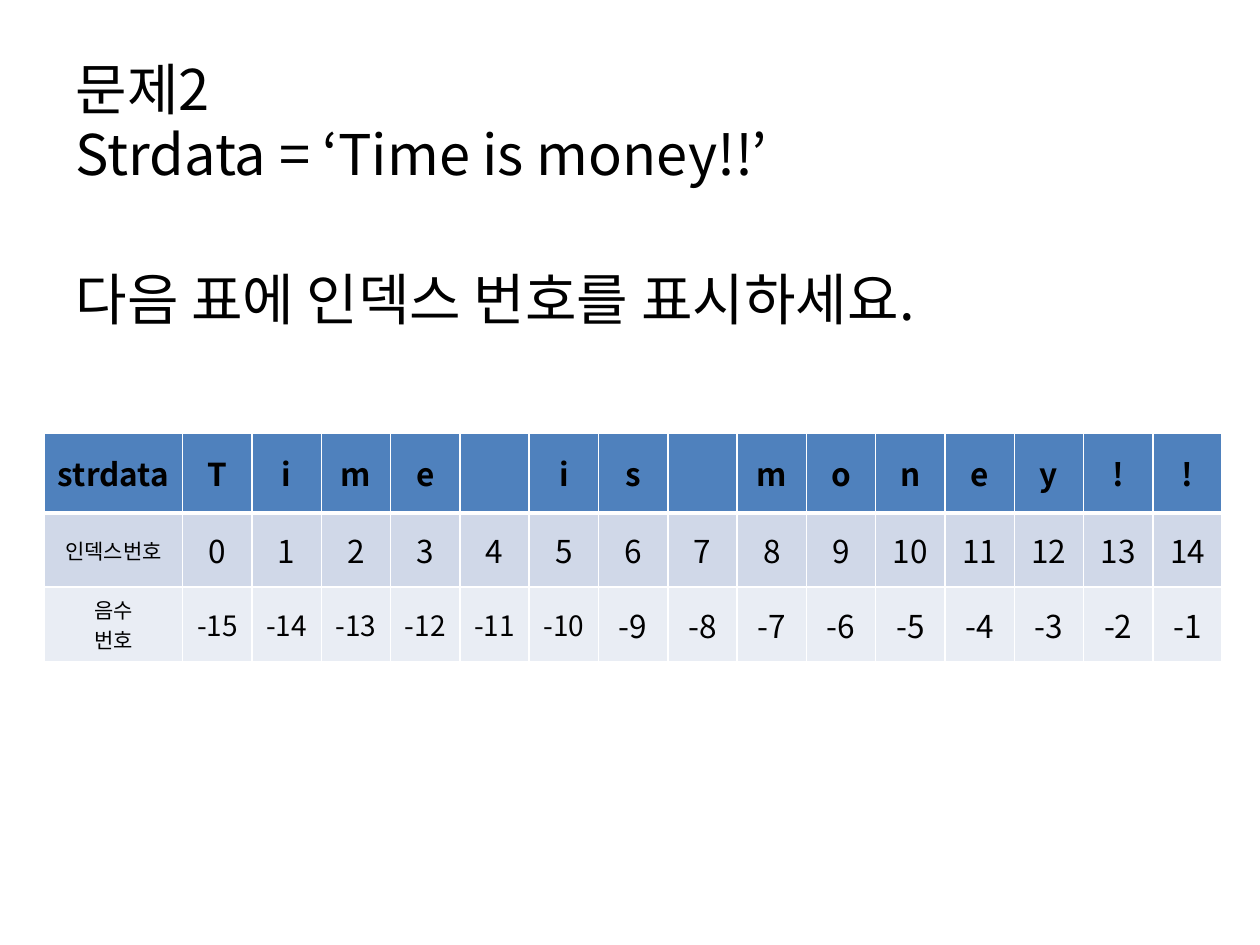
from lxml.etree import SubElement
from pptx import Presentation
from pptx.dml.color import RGBColor
from pptx.enum.text import MSO_ANCHOR, MSO_AUTO_SIZE, PP_ALIGN
from pptx.oxml.ns import qn
from pptx.util import Inches, Pt

FONT = "Noto Sans CJK KR"
COLORS = {
    "text": "000000",
    "border": "FFFFFF",
    "header": "4F81BD",
    "index": "D0D8E8",
    "negative": "E9EDF4",
}

# Text and the space before it, in points
QUESTION = [
    ("문제2", 0),
    ("Strdata = ‘Time is money!!’", 3),
    ("다음 표에 인덱스 번호를 표시하세요.", 48),
]
QUESTION_BOX = (0.5, 0.44, 9, 6.85)

STRDATA = "Time is money!!"
COUNT = len(STRDATA)
# Label, values, row height, fill
ROWS = [
    ("strdata", [letter.strip() for letter in STRDATA], 0.63, "header"),
    ("인덱스번호", [str(i) for i in range(COUNT)], 0.59, "index"),
    ("음수\n번호", [str(i) for i in range(-COUNT, 0)], 0.59, "negative"),
]
TABLE_LEFT, TABLE_TOP = 0.35, 3.44
LABEL_WIDTH, VALUE_WIDTH = 1.1, 0.55


def color(name):
    return RGBColor.from_string(COLORS[name])


def add_run(paragraph, text, size, bold=False):
    run = paragraph.add_run()
    run.text = text
    font = run.font
    font.size, font.bold, font.name = Pt(size), bold, FONT
    font.color.rgb = color("text")
    latin = run._r.rPr.find(qn("a:latin"))
    east_asian = latin.makeelement(qn("a:ea"), {"typeface": FONT})
    latin.addnext(east_asian)


def add_borders(cell, top, bottom):
    """Draw the four cell edges; top and bottom widths are in points."""
    properties = cell._tc.get_or_add_tcPr()
    for side, width in (("L", 1), ("R", 1), ("T", top), ("B", bottom)):
        line = SubElement(properties, qn(f"a:ln{side}"), w=str(Pt(width)))
        fill = SubElement(line, qn("a:solidFill"))
        SubElement(fill, qn("a:srgbClr"), val=COLORS["border"])


def text_size(text, row, column):
    if row and column == 0:
        return 12
    return 16 if text.startswith("-") and len(text) == 3 else 18


def add_question(slide):
    body = slide.placeholders[1]
    body.left, body.top, body.width, body.height = map(Inches, QUESTION_BOX)
    frame = body.text_frame
    frame.auto_size = MSO_AUTO_SIZE.NONE
    for i, (text, space) in enumerate(QUESTION):
        paragraph = frame.add_paragraph() if i else frame.paragraphs[0]
        paragraph.line_spacing = 0.9
        paragraph.space_before = Pt(space)
        properties = paragraph._p.get_or_add_pPr()
        properties.set("marL", "0")
        properties.set("indent", "0")
        SubElement(properties, qn("a:buNone"))
        add_run(paragraph, text, 32)


def add_index_table(slide):
    width = LABEL_WIDTH + COUNT * VALUE_WIDTH
    height = sum(row[2] for row in ROWS)
    table = slide.shapes.add_table(
        len(ROWS), COUNT + 1, Inches(TABLE_LEFT), Inches(TABLE_TOP),
        Inches(width), Inches(height)).table
    for c, column in enumerate(table.columns):
        column.width = Inches(VALUE_WIDTH if c else LABEL_WIDTH)
    for r, (label, values, row_height, fill) in enumerate(ROWS):
        table.rows[r].height = Inches(row_height)
        for c, text in enumerate([label, *values]):
            cell = table.cell(r, c)
            add_borders(cell, top=3 if r == 1 else 1, bottom=1 if r else 3)
            cell.fill.solid()
            cell.fill.fore_color.rgb = color(fill)
            cell.vertical_anchor = MSO_ANCHOR.MIDDLE
            frame = cell.text_frame
            for i, line in enumerate(text.splitlines()):
                paragraph = frame.add_paragraph() if i else frame.paragraphs[0]
                paragraph.alignment = PP_ALIGN.CENTER
                add_run(paragraph, line, text_size(text, r, c), bold=r == 0)


def main():
    deck = Presentation()
    deck.slide_width, deck.slide_height = Inches(10), Inches(7.5)
    slide = deck.slides.add_slide(deck.slide_layouts[1])
    title = slide.shapes.title.element
    title.getparent().remove(title)
    add_question(slide)
    add_index_table(slide)
    deck.save("out.pptx")


if __name__ == "__main__":
    main()
